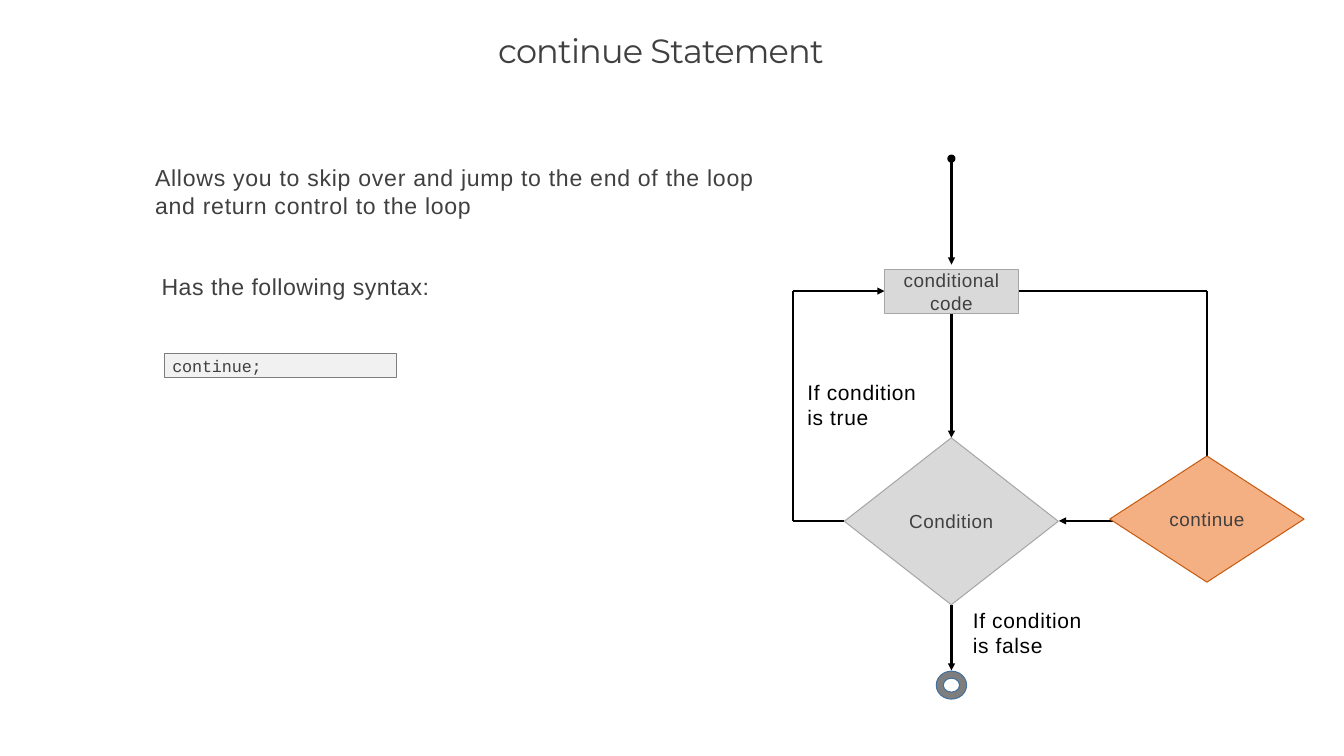
from itertools import pairwise

from lxml.etree import SubElement
from pptx import Presentation
from pptx.dml.color import RGBColor
from pptx.enum.shapes import MSO_CONNECTOR, MSO_SHAPE
from pptx.enum.text import MSO_ANCHOR, MSO_AUTO_SIZE, PP_ALIGN
from pptx.oxml.ns import qn
from pptx.util import Cm, Pt


def color(value):
    """Turn a hex string into a colour."""
    return RGBColor.from_string(value)


class Flowchart:
    """Hold the style and the slide, with a method for each kind of element."""

    ink = "404040"
    black = "000000"
    gray = "D9D9D9"
    edge = "A6A6A6"
    line_width = Pt(2.3)
    edge_width = Pt(0.96)

    def __init__(self, slide):
        """Keep the slide to draw on."""
        self.slide = slide

    def place(self, shape, left, top, width, height):
        """Move and size a shape in centimetres."""
        bounds = {"left": left, "top": top, "width": width, "height": height}
        for name, value in bounds.items():
            setattr(shape, name, Cm(value))

    def fill_text(self, shape, lines, size, spacing=0, font="Arial", ink=ink,
                  align=PP_ALIGN.LEFT, anchor=MSO_ANCHOR.TOP, inset=0):
        """Fill a shape with formatted paragraphs."""
        frame = shape.text_frame
        frame_format = {
            "word_wrap": True, "auto_size": MSO_AUTO_SIZE.NONE,
            "vertical_anchor": anchor, "margin_left": Cm(inset),
            "margin_right": 0, "margin_top": 0, "margin_bottom": 0,
        }
        for name, value in frame_format.items():
            setattr(frame, name, value)
        frame.text = "\n".join(lines)
        for para in frame.paragraphs:
            properties = para._p.get_or_add_pPr()
            properties.set("marL", "0")
            properties.set("indent", "0")
            SubElement(properties, qn("a:buNone"))
            para_format = {"alignment": align, "space_before": Pt(0), "line_spacing": 1.0}
            for name, value in para_format.items():
                setattr(para, name, value)
            for span in para.runs:
                for name, value in {"name": font, "size": Pt(size)}.items():
                    setattr(span.font, name, value)
                span.font.color.rgb = color(ink)
                span._r.get_or_add_rPr().set("spc", str(round(spacing * 100)))

    def holder(self, shape, bounds, text, size, **style):
        """Move and fill a template placeholder."""
        self.place(shape, *bounds)
        self.fill_text(shape, [text], size, **style)

    def label(self, bounds, text):
        """Add a branch label."""
        box = self.slide.shapes.add_textbox(*map(Cm, bounds))
        self.fill_text(box, [text], 20, spacing=0.6, ink=self.black)

    def node(self, kind, bounds, fill=gray, edge=edge):
        """Add a filled and outlined shape."""
        shape = self.slide.shapes.add_shape(kind, *map(Cm, bounds))
        shape.shadow.inherit = False
        shape.fill.solid()
        shape.fill.fore_color.rgb = color(fill)
        shape.line.color.rgb = color(edge)
        shape.line.width = self.edge_width
        return shape

    def step(self, kind, bounds, lines, **colors):
        """Add a flowchart step with centred text."""
        shape = self.node(kind, bounds, **colors)
        self.fill_text(shape, lines, 18, spacing=0.5, align=PP_ALIGN.CENTER,
                       anchor=MSO_ANCHOR.MIDDLE)

    def route(self, *points, arrow=True):
        """Join points with straight lines, ending in an arrowhead."""
        for start, end in pairwise(points):
            line = self.slide.shapes.add_connector(
                MSO_CONNECTOR.STRAIGHT, *map(Cm, start + end))
            line.line.color.rgb = color(self.black)
            line.line.width = self.line_width
            if arrow and end == points[-1]:
                SubElement(line.line._get_or_add_ln(), qn("a:tailEnd"), type="triangle")
            SubElement(line._element.spPr, qn("a:effectLst"))


def main():
    """Build the slide and save it."""
    deck = Presentation()
    deck.slide_width, deck.slide_height = Cm(45.16), Cm(25.4)
    page = deck.slides.add_slide(deck.slide_layouts[3])
    chart = Flowchart(page)
    title, description, syntax = page.placeholders

    chart.holder(title, (16.74, 1.02, 13.5, 1.65), "continue Statement", 32,
                 font="Montserrat", spacing=-0.8)
    chart.holder(description, (5.21, 5.5, 21.62, 1.93),
                 "Allows you to skip over and jump to the end of the loop and "
                 "return control to the loop", 22, spacing=0.7)
    chart.holder(syntax, (5.43, 9.15, 9.07, 0.99),
                 "Has the following syntax:", 22, spacing=0.5)
    code = chart.node(MSO_SHAPE.RECTANGLE, (5.54, 11.89, 7.77, 0.81), "F1F1F1", "7E7E7E")
    chart.fill_text(code, ["continue;"], 16, font="Courier New", spacing=-0.1,
                    anchor=MSO_ANCHOR.MIDDLE, inset=0.25)

    axis, loop_left, loop_right = 31.97, 26.65, 40.55
    code_middle, test_middle = 9.78, 17.5
    chart.node(MSO_SHAPE.OVAL, (axis - 0.12, 5.21, 0.24, 0.24), chart.black, chart.black)
    for top, bottom in ((5.33, 8.89), (10.52, 14.71), (20.32, 22.53)):
        chart.route((axis, top), (axis, bottom))
    chart.route((28.37, test_middle), (loop_left, test_middle),
                (loop_left, code_middle), (29.72, code_middle))
    chart.route((34.22, code_middle), (loop_right, code_middle),
                (loop_right, 15.4), arrow=False)
    chart.route((37.8, test_middle), (35.58, test_middle))

    chart.step(MSO_SHAPE.RECTANGLE, (29.72, 9.07, 4.5, 1.45), ["conditional", "code"])
    chart.step(MSO_SHAPE.DIAMOND, (28.37, 14.71, 7.19, 5.61), ["Condition"])
    chart.step(MSO_SHAPE.DIAMOND, (37.29, 15.32, 6.53, 4.24), ["continue"],
               fill="F4B083", edge="C55A11")
    ring = chart.node(MSO_SHAPE.DONUT, (axis - 0.51, 22.55, 1.02, 0.94), "7E7E7E", "41709C")
    ring.adjustments[0] = 0.25
    chart.label((27.13, 12.75, 3.9, 1.78), "If condition is true")
    chart.label((32.69, 20.42, 3.9, 1.78), "If condition is false")
    deck.save("out.pptx")


if __name__ == "__main__":
    main()
